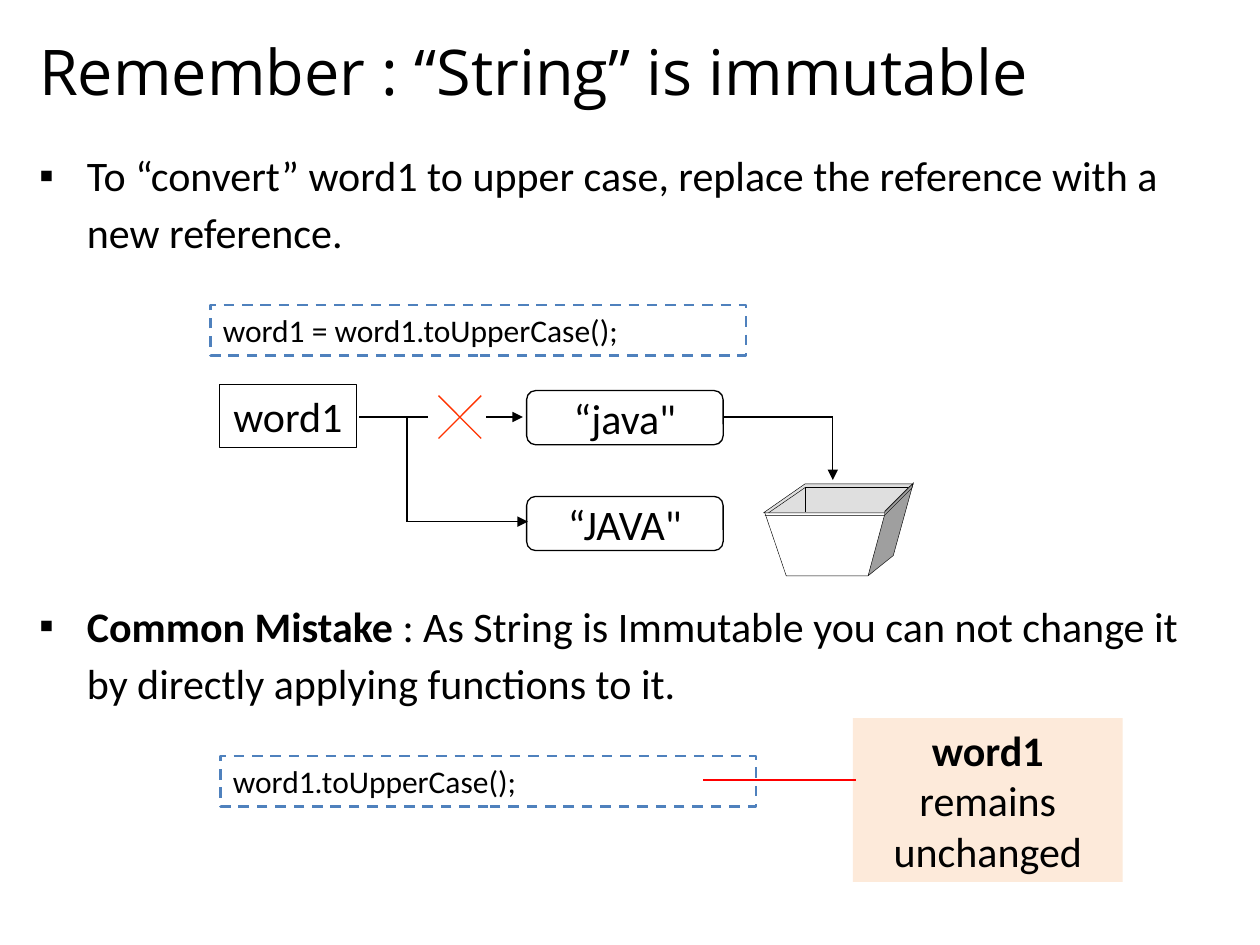
from lxml import etree
from pptx import Presentation
from pptx.dml.color import RGBColor
from pptx.enum.dml import MSO_LINE
from pptx.enum.shapes import MSO_CONNECTOR, MSO_SHAPE
from pptx.enum.text import MSO_ANCHOR, MSO_AUTO_SIZE, PP_ALIGN
from pptx.oxml.ns import qn
from pptx.util import Inches, Pt

RECT, ROUND = MSO_SHAPE.RECTANGLE, MSO_SHAPE.ROUNDED_RECTANGLE
STRAIGHT = MSO_CONNECTOR.STRAIGHT
LEFT, CENTER = PP_ALIGN.LEFT, PP_ALIGN.CENTER
MIDDLE, TOP = MSO_ANCHOR.MIDDLE, MSO_ANCHOR.TOP
DASH, FIXED = MSO_LINE.DASH, MSO_AUTO_SIZE.NONE

COLS, ROWS = 100, 75
CELL = Inches(0.1)
BLACK, BLUE, PEACH = "000000", "4F81BD", "FDEADA"
RED, ORANGE = "FF0000", "FF3300"
LIGHT, DARK = "DFDFDF", "9F9F9F"
MAIN_Y, NEW_Y, FORK_X, DROP_X = 33.1, 41.4, 32.3, 66.1


def cells(*nums):
    """Turn grid columns or rows into slide lengths."""
    return [round(num * CELL) for num in nums]


def rgb(code):
    return RGBColor.from_string(code)


def apply(thing, **vals):
    for name, val in vals.items():
        setattr(thing, name, val)


def place(shape, box):
    apply(shape, **dict(zip(("left", "top", "width", "height"), cells(*box))))


def add_run(para, text, size, bold=False, face="Calibri"):
    run = para.add_run()
    run.text = text
    apply(run.font, name=face, size=Pt(size), bold=bold)
    run.font.color.rgb = rgb(BLACK)


def paint(shape, fill=None, line=None, width=0.75, dash=None):
    """Set fill and outline; None means there is none."""
    shape.shadow.inherit = False
    if fill:
        shape.fill.solid()
        shape.fill.fore_color.rgb = rgb(fill)
    else:
        shape.fill.background()
    if line:
        shape.line.color.rgb = rgb(line)
        apply(shape.line, width=Pt(width), dash_style=dash)
    else:
        shape.line.fill.background()


def add_box(slide, box, runs, kind=RECT, size=24, align=CENTER, wrap=False, **look):
    """Add a shape that holds one paragraph of (text, bold) runs."""
    shape = slide.shapes.add_shape(kind, *cells(*box))
    paint(shape, **look)
    frame = shape.text_frame
    apply(frame, word_wrap=wrap, vertical_anchor=MIDDLE)
    para = frame.paragraphs[0]
    para.alignment = align
    for text, bold in runs:
        add_run(para, text, size, bold)


def add_line(slide, start, end, color=BLACK, width=0.75, arrow=False):
    line = slide.shapes.add_connector(STRAIGHT, *cells(*start, *end))
    line.line.color.rgb = rgb(color)
    line.line.width = Pt(width)
    if arrow:
        ln = line.line._get_or_add_ln()
        etree.SubElement(ln, qn("a:tailEnd"), type="triangle")
    etree.SubElement(line._element.spPr, qn("a:effectLst"))


def add_path(slide, points, fill=None, close=False):
    spots = [cells(*point) for point in points]
    form = slide.shapes.build_freeform(*spots[0])
    form.add_line_segments(spots[1:], close=close)
    paint(form.convert_to_shape(), fill, BLACK, 0.25)


def add_title(slide, text):
    title = slide.shapes.title
    place(title, (2.1, 1.2, 95.8, 8.8))
    frame = title.text_frame
    apply(frame, vertical_anchor=MIDDLE, auto_size=FIXED)
    para = frame.paragraphs[0]
    para.alignment = LEFT
    add_run(para, text, 36, face="Open Sans")


def add_list(slide, items):
    """Fill the body with (space before, runs) bullet items."""
    body = slide.placeholders[1]
    place(body, (2.1, 10.8, 95.8, 58.3))
    frame = body.text_frame
    apply(frame, vertical_anchor=TOP, auto_size=FIXED)
    for num, (gap, runs) in enumerate(items):
        para = frame.add_paragraph() if num else frame.paragraphs[0]
        props = para._p.get_or_add_pPr()
        props.set("marL", str(Inches(0.38)))
        props.set("indent", str(-Inches(0.38)))
        etree.SubElement(props, qn("a:buChar"), char="▪")
        apply(para, line_spacing=1.14, space_before=Pt(gap))
        for text, bold in runs:
            add_run(para, text, 24, bold)


def add_bin(slide):
    """Draw the open bin: rim, side, front, then inner edges."""
    rim = [(60.6, 40.7), (63.9, 38.4), (72.5, 38.4), (70.2, 40.7)]
    side = [(72.4, 38.5), (72.5, 38.3), (70.9, 44.1), (68.9, 45.7),
            (70.2, 40.9), (70.2, 40.7)]
    front = [(60.7, 40.7), (62.4, 45.7), (68.9, 45.7)]
    lip = [(60.7, 40.9), (70.2, 40.9), (72.4, 38.7), (72.4, 38.4), (70.2, 40.6)]
    add_path(slide, rim, LIGHT, True)
    add_path(slide, side, DARK)
    add_path(slide, front)
    add_path(slide, lip)
    for end in ((63.9, 40.6), (72.1, 38.7), (61, 40.7)):
        add_line(slide, (63.9, 38.7), end, width=0.25)


def add_links(slide):
    """Join the variable to both strings, and the old one to the bin."""
    add_line(slide, (28.5, MAIN_Y), (34, MAIN_Y))
    add_line(slide, (38.6, MAIN_Y), (41.5, MAIN_Y), arrow=True)
    add_line(slide, (FORK_X, MAIN_Y), (FORK_X, NEW_Y))
    add_line(slide, (FORK_X, NEW_Y), (41.9, NEW_Y), arrow=True)
    add_line(slide, (57.4, MAIN_Y), (DROP_X, MAIN_Y))
    add_line(slide, (DROP_X, MAIN_Y), (DROP_X, 38.1), arrow=True)
    for top, low in ((31.4, 34.8), (34.8, 31.4)):
        add_line(slide, (34.8, top), (38.2, low), ORANGE)


def main():
    deck = Presentation()
    deck.slide_width, deck.slide_height = cells(COLS, ROWS)
    slide = deck.slides.add_slide(deck.slide_layouts[1])
    add_title(slide, "Remember : “String” is immutable")
    add_list(slide, [
        (0, [("To “convert” word1 to upper case, replace the reference "
              "with a new reference.", False)]),
        (192, [("Common Mistake ", True),
               (": As String is Immutable you can not change it by directly "
                "applying functions to it.", False)]),
    ])
    add_box(slide, (67.7, 57, 21.4, 13),
            [("word1", True), (" remains unchanged", False)], wrap=True, fill=PEACH)
    add_box(slide, (17.4, 30.5, 10.9, 5), [("word1", False)], line=BLACK)
    add_links(slide)
    add_bin(slide)
    for top, text in ((31, "“java\""), (39.4, "“JAVA\"")):
        add_box(slide, (41.8, top, 15.6, 4.3), [(text, False)], ROUND, line=BLACK)
    for left, top, code in ((16.7, 24.2, "word1 = word1.toUpperCase();"),
                            (17.5, 60, "word1.toUpperCase();")):
        add_box(slide, (left, top, 42.5, 4), [(code, False)], size=18,
                align=LEFT, wrap=True, line=BLUE, width=1.5, dash=DASH)
    add_line(slide, (55.8, 61.9), (67.9, 61.9), RED)
    deck.save("out.pptx")


if __name__ == "__main__":
    main()
